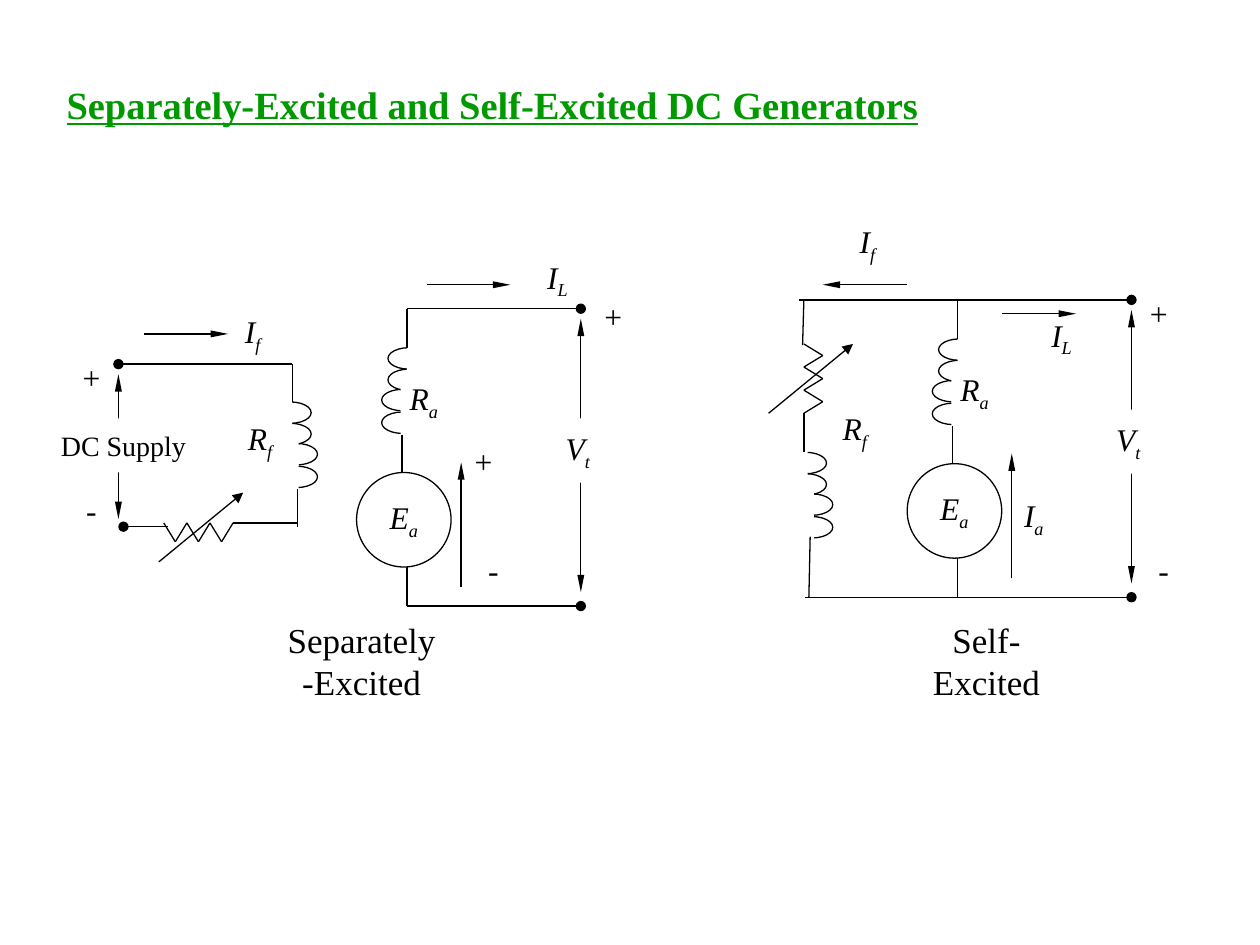
from itertools import pairwise

from lxml import etree
from pptx import Presentation
from pptx.dml.color import RGBColor
from pptx.enum.shapes import MSO_CONNECTOR, MSO_SHAPE
from pptx.enum.text import MSO_ANCHOR, PP_ALIGN
from pptx.oxml.ns import qn
from pptx.util import Inches, Pt

STRAIGHT = MSO_CONNECTOR.STRAIGHT
DELAY = MSO_SHAPE.FLOWCHART_DELAY
RECTANGLE = MSO_SHAPE.RECTANGLE
OVAL = MSO_SHAPE.OVAL
MIDDLE = MSO_ANCHOR.MIDDLE
LEFT, CENTER = PP_ALIGN.LEFT, PP_ALIGN.CENTER

COLORS = {"ink": "000000", "paper": "FFFFFF", "title": "009900"}
FONT = "Times New Roman"
LINE_WIDTH = Pt(0.75)
DOT = ("oval", "med", "med")
POINTER = ("triangle", "med", "med")
LONG = ("triangle", "sm", "lg")
SIGN_SIZE = (0.43, 0.36)
TURN_SIZE = (0.33, 0.17)
MASK_SIZE = (0.23, 0.25)
ZIGZAG_STEPS = 6


def color(name):
    return RGBColor.from_string(COLORS[name])


class Region:
    def __init__(self, slide, left, top):
        self.shapes = slide.shapes
        self.left = left
        self.top = top

    def place(self, x, y):
        return Inches(self.left + x), Inches(self.top + y)

    def wire(self, start, end, head=None, tail=None):
        wire = self.shapes.add_connector(STRAIGHT, *self.place(*start), *self.place(*end))
        wire.line.color.rgb = color("ink")
        wire.line.width = LINE_WIDTH
        ln = wire.line._get_or_add_ln()
        for tag, cap in (("a:headEnd", head), ("a:tailEnd", tail)):
            if cap:
                etree.SubElement(ln, qn(tag), dict(zip(("type", "w", "len"), cap)))
        etree.SubElement(wire._element.spPr, qn("a:effectLst"))

    def outline(self, kind, at, size, line="ink", fill=None):
        part = self.shapes.add_shape(kind, *self.place(*at), *map(Inches, size))
        part.shadow.inherit = False
        if fill:
            part.fill.solid()
            part.fill.fore_color.rgb = color(fill)
        else:
            part.fill.background()
        if line:
            part.line.color.rgb = color(line)
            part.line.width = LINE_WIDTH
        else:
            part.line.fill.background()
        return part

    def label(self, at, base, sub="", size=SIGN_SIZE, points=18, italic=True, fill=None):
        box = self.shapes.add_textbox(*self.place(*at), *map(Inches, size))
        if fill:
            box.fill.solid()
            box.fill.fore_color.rgb = color(fill)
        write(box.text_frame, base, sub, points, italic)

    def coil(self, x, y, mirrored=False):
        turn_width, mask_width = TURN_SIZE[0], MASK_SIZE[0]
        shift = -0.05 if mirrored else 0.05
        mask_shift = turn_width - mask_width + 0.05 if mirrored else -0.05
        for dx, dy in ((0, 0.17), (shift, 0.33), (shift, 0.51), (0, 0)):
            turn = self.outline(DELAY, (x + dx, y + dy), TURN_SIZE)
            if mirrored:
                turn._element.spPr.xfrm.set("flipH", "1")
            self.outline(RECTANGLE, (x + dx + mask_shift, y + dy - 0.03), MASK_SIZE, None, "paper")

    def resistor(self, x, y, vertical=False):
        length, depth = 0.55, 0.15
        points = []
        for step in range(ZIGZAG_STEPS + 1):
            along, across = step * length / ZIGZAG_STEPS, step % 2 * depth
            dx, dy = (across, along) if vertical else (along, across)
            points.append((x + dx, y + dy))
        for start, end in pairwise(points):
            self.wire(start, end)


def write(frame, base, sub="", points=18, italic=False, align=CENTER):
    frame.word_wrap = False
    frame.vertical_anchor = MIDDLE
    frame.margin_left = frame.margin_right = frame.margin_top = frame.margin_bottom = 0
    paragraph = frame.paragraphs[0]
    paragraph.alignment = align
    font = paragraph.font
    font.name, font.size, font.italic = FONT, Pt(points), italic
    font.color.rgb = color("ink")
    paragraph.add_run().text = base
    if sub:
        subscript = paragraph.add_run()
        subscript.text = sub
        subscript._r.get_or_add_rPr().set("baseline", "-25000")
    return paragraph


def add_title(slide, left, top, width, height):
    title = slide.shapes.add_textbox(*map(Inches, (left, top, width, height)))
    heading = write(title.text_frame, "Separately-Excited and Self-Excited DC Generators",
                    points=22, align=LEFT)
    title.text_frame.margin_left = Inches(0.1)
    heading.line_spacing = 0.9
    heading.font.bold = heading.font.underline = True
    heading.font.color.rgb = color("title")


def add_armature(slide, left, top, rail_starts):
    armature = Region(slide, left, top)
    armature.coil(0.25, 0.31, mirrored=True)
    for rail_y, start in zip((0, 2.36), rail_starts):
        armature.wire((1.78, rail_y), (start, rail_y), head=DOT)
    armature.wire((0.4, 0), (0.4, 0.31))
    armature.wire((0.36, 1), (0.36, 1.3))
    armature.wire((0.4, 2.05), (0.4, 2.36))
    rotor = armature.outline(OVAL, (0, 1.3), (0.75, 0.75))
    write(rotor.text_frame, "E", "a", italic=True)
    armature.wire((0.83, 2.21), (0.83, 1.22), tail=LONG)
    armature.wire((1.78, 0.08), (1.78, 2.25), head=LONG, tail=LONG)
    armature.label((1.54, 0.87), "V", "t", (0.43, 0.51), fill="paper")
    armature.label((0.32, 0.55), "R", "a")
    return armature


def add_supplied_field(slide, left, top):
    field = Region(slide, left, top)
    field.coil(1.2, 0.3)
    field.wire((0, 0), (1.38, 0), head=DOT)
    field.wire((1.38, 0), (1.38, 0.3))
    field.wire((1.42, 0.99), (1.42, 1.29))
    field.wire((0.04, 1.29), (0.39, 1.29), head=DOT)
    field.resistor(0.36, 1.26)
    field.wire((0.91, 1.26), (1.42, 1.26))
    field.wire((0.32, 1.57), (0.99, 1.02), tail=POINTER)
    field.wire((0.2, -0.24), (0.87, -0.24), tail=LONG)
    field.label((0.83, -0.48), "I", "f", (0.47, 0.47))
    field.wire((0, 0.08), (0, 1.23), head=LONG, tail=LONG)
    field.label((-0.51, 0.43), "DC Supply", size=(1.1, 0.43), points=16,
                italic=False, fill="paper")
    field.label((0.91, 0.43), "R", "f")
    field.label((-0.43, -0.08), "+")
    field.label((-0.43, 0.98), "-")


def add_shunt_field(slide, left, top):
    field = Region(slide, left, top)
    field.coil(-0.11, 1.21)
    field.wire((0.04, 0), (0.03, 0.36))
    field.resistor(0.04, 0.35, vertical=True)
    field.wire((0.04, 0.9), (0.04, 1.21))
    field.wire((0.09, 1.88), (0.08, 2.36))
    field.wire((-0.24, 0.9), (0.43, 0.35), tail=POINTER)
    field.wire((0.86, -0.12), (0.19, -0.12), tail=LONG)
    field.label((0.31, -0.68), "I", "f", (0.47, 0.47))
    field.label((0.23, 0.86), "R", "f")


def add_separately_excited(slide, left, top):
    add_supplied_field(slide, left, top + 0.44)
    armature = add_armature(slide, left + 1.89, top, (0.4, 0.4))
    armature.wire((0.56, -0.19), (1.22, -0.19), tail=LONG)
    armature.label((1.26, -0.51), "I", "L", (0.67, 0.55))
    armature.label((0.79, 1.03), "+")
    armature.label((0.87, 1.89), "-")
    armature.label((1.82, -0.12), "+")
    armature.label((-0.56, 2.59), "Separately-Excited", size=(1.2, 0.4), points=20, italic=False)


def add_self_excited(slide, left, top):
    add_shunt_field(slide, left, top)
    armature = add_armature(slide, left + 0.86, top, (-0.86, -0.81))
    armature.wire((0.75, 0.11), (1.34, 0.11), tail=LONG)
    armature.label((0.83, 0), "I", "L", (0.79, 0.59))
    armature.label((0.67, 1.45), "I", "a", (0.67, 0.55))
    armature.label((1.78, -0.08), "+")
    armature.label((1.82, 1.96), "-")
    armature.label((0.03, 2.66), "Self-Excited", size=(1.2, 0.4), points=20, italic=False)


def main():
    deck = Presentation()
    deck.slide_width, deck.slide_height = Inches(10), Inches(7.5)
    slide = deck.slides.add_slide(deck.slide_layouts[6])
    add_title(slide, 0.43, 0.6, 9.19, 0.5)
    add_separately_excited(slide, 0.94, 2.45)
    add_self_excited(slide, 6.34, 2.38)
    deck.save("out.pptx")


if __name__ == "__main__":
    main()
